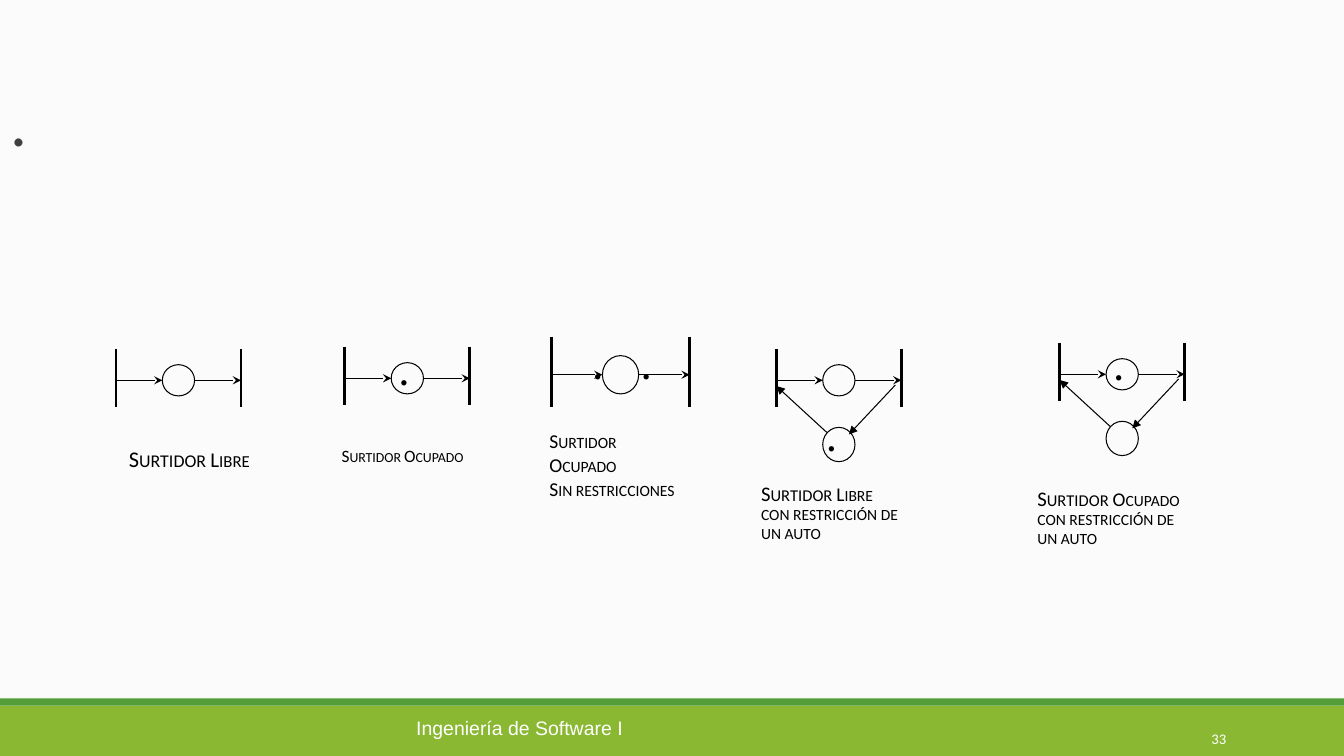
from dataclasses import dataclass

from pptx import Presentation
from pptx.dml.color import RGBColor
from pptx.enum.shapes import MSO_CONNECTOR, MSO_SHAPE
from pptx.enum.text import MSO_ANCHOR, PP_ALIGN
from pptx.oxml.ns import qn
from pptx.util import Inches, Pt
from lxml.etree import SubElement


@dataclass(frozen=True)
class Theme:
    """Colours, fonts and line widths of the slide."""
    paper: str = "FBFBFB"
    band: str = "8AB833"
    stripe: str = "549E39"
    white: str = "FFFFFF"
    title: str = "3F3F3F"
    ink: str = "000000"
    body_font: str = "Calibri"
    footer_font: str = "Arial"
    title_size: float = 48
    token_size: float = 32
    footer_size: float = 13.9
    number_size: float = 10.5
    thin: float = 0.75
    thick: float = 2


T = Theme()


def rgb(code):
    """Return a colour from its hexadecimal code."""
    return RGBColor.from_string(code)


def style(p, size, color, name=T.body_font, spacing=None, small=False, bold=None):
    """Format a whole paragraph."""
    f = p.font
    f.size, f.name, f.bold = Pt(size), name, bold
    f.color.rgb = rgb(color)
    if small:
        p._p.get_or_add_pPr().get_or_add_defRPr().set("cap", "small")
    if spacing:
        p.line_spacing = spacing


def text_box(shapes, box, anchor=MSO_ANCHOR.MIDDLE):
    """Add a wrapping text box and return it."""
    sp = shapes.add_textbox(*map(Inches, box))
    sp.text_frame.word_wrap = True
    sp.text_frame.vertical_anchor = anchor
    return sp


def line(shapes, start, end, width=T.thin, head=None):
    """Draw a line, with an arrowhead of the given kind at its end."""
    c = shapes.add_connector(MSO_CONNECTOR.STRAIGHT, *map(Inches, (*start, *end)))
    c.line.color.rgb = rgb(T.ink)
    c.line.width = Pt(width)
    if head:
        SubElement(c.line._get_or_add_ln(), qn("a:tailEnd"), type=head)
    SubElement(c._element.spPr, qn("a:effectLst"))


def place(shapes, cx, cy, w, h):
    """Draw a net place centred on a point."""
    sp = shapes.add_shape(MSO_SHAPE.OVAL, *map(Inches, (cx - w / 2, cy - h / 2, w, h)))
    sp.shadow.inherit = False
    sp.fill.background()
    sp.line.color.rgb = rgb(T.ink)
    sp.line.width = Pt(T.thin)


def tokens(shapes, cx, cy, text=".", w=0.31, h=1.0, spacing=None):
    """Write token dots in a rotated box centred on a point."""
    sp = text_box(shapes, (cx - w / 2, cy - h / 2, w, h))
    sp.rotation = 90
    p = sp.text_frame.paragraphs[0]
    p.text = text
    style(p, T.token_size, T.ink, spacing=spacing, small=True, bold=True)


def net(s, box, circle=(0.32, 0.31), loop=False):
    """Draw two transitions joined through a place and return the group's shapes."""
    x, y, w, h = box
    shapes = s.shapes.add_group_shape().shapes
    mid, axis, right, r = x + w / 2, y + 0.54 * h, x + w, circle[0] / 2
    place(shapes, mid, axis, *circle)
    for bar in (x, right):
        line(shapes, (bar, y), (bar, y + h), T.thick)
    line(shapes, (x, axis), (mid - r, axis), head="stealth")
    line(shapes, (mid + r, axis), (right, axis), head="stealth")
    if loop:
        place(shapes, mid, y + 0.95, 0.32, 0.34)
        line(shapes, (right - 0.06, y + 0.36), (mid + 0.1, y + 0.85), head="triangle")
        line(shapes, (mid - 0.12, y + 0.83), (x, y + 0.37), head="triangle")
    return shapes


def label(s, box, paragraphs, spacing=None):
    """Write a small-caps caption from paragraphs of sized runs."""
    tf = text_box(s.shapes, box).text_frame
    for i, runs in enumerate(paragraphs):
        p = tf.add_paragraph() if i else tf.paragraphs[0]
        style(p, runs[0][1], T.ink, spacing=spacing, small=True)
        for text, size in runs:
            r = p.add_run()
            r.text = text
            if size != runs[0][1]:
                r.font.size = Pt(size)


def footer(s, x, y, w, h):
    """Draw the footer band with the course name and page number."""
    for top, height, color in ((y + 0.07, h - 0.07, T.band), (y, 0.07, T.stripe)):
        sp = s.shapes.add_shape(MSO_SHAPE.RECTANGLE, *map(Inches, (x, top, w, height)))
        sp.shadow.inherit = False
        sp.fill.solid()
        sp.fill.fore_color.rgb = rgb(color)
        sp.line.fill.background()
    p = text_box(s.shapes, (x + 4.03, y + 0.13, 5.27, 0.4), MSO_ANCHOR.TOP).text_frame.paragraphs[0]
    p.text = "Ingeniería de Software I"
    style(p, T.footer_size, T.white, T.footer_font)
    p = text_box(s.shapes, (x + 10.83, y + 0.13, 1.43, 0.4), MSO_ANCHOR.BOTTOM).text_frame.paragraphs[0]
    p.text = "33"
    p.alignment = PP_ALIGN.RIGHT
    style(p, T.number_size, T.white)


def title(s, x, y, w, h):
    """Place the slide title."""
    sp = s.shapes.title
    sp.left, sp.top, sp.width, sp.height = map(Inches, (x, y, w, h))
    sp.text_frame.vertical_anchor = MSO_ANCHOR.MIDDLE
    p = sp.text_frame.paragraphs[0]
    p.text = "."
    p.alignment = PP_ALIGN.LEFT
    style(p, T.title_size, T.title, spacing=0.85)


def pump_nets(s):
    """Draw the five pump states with their captions."""
    w, h = 1.24, 0.58
    net(s, (1.15, 3.46, w, h))
    tokens(net(s, (3.42, 3.44, w, h)), 4.16, 3.81)
    tokens(net(s, (5.47, 3.34, 1.37, 0.7), (0.36, 0.38)), 6.29, 3.79, "..", 0.38, 1.11, 0.9)
    tokens(net(s, (7.7, 3.46, w, h), loop=True), 8.4, 4.47)
    tokens(net(s, (10.51, 3.4, w, h), loop=True), 11.25, 3.76)

    label(s, (1.18, 4.35, 1.49, 0.4), [[("Surtidor ", 16), ("Libre", 15)]])
    label(s, (3.29, 4.34, 1.49, 0.4), [[("Surtidor Ocupado", 12.4)]], 0.8)
    label(s, (5.35, 4.34, 1.49, 0.54), [[("Surtidor Ocupado", 14)], [("Sin restricciones", 14)]])
    for x, y, state in ((7.45, 4.74, "Libre"), (10.19, 4.79, "Ocupado")):
        label(s, (x, y, 1.66, 0.73),
              [[("Surtidor ", 14.8), (state, 13.9)], [("con restricción de un auto", 13.9)]], 0.8)


def main():
    """Build and save the slide."""
    prs = Presentation()
    prs.slide_width, prs.slide_height = Inches(13.33), Inches(7.5)
    s = prs.slides.add_slide(prs.slide_layouts[5])
    s.background.fill.solid()
    s.background.fill.fore_color.rgb = rgb(T.paper)
    footer(s, 0, 6.93, 13.33, 0.57)
    title(s, 0, 0.55, 11.82, 1.39)
    pump_nets(s)
    prs.save("out.pptx")


if __name__ == "__main__":
    main()
